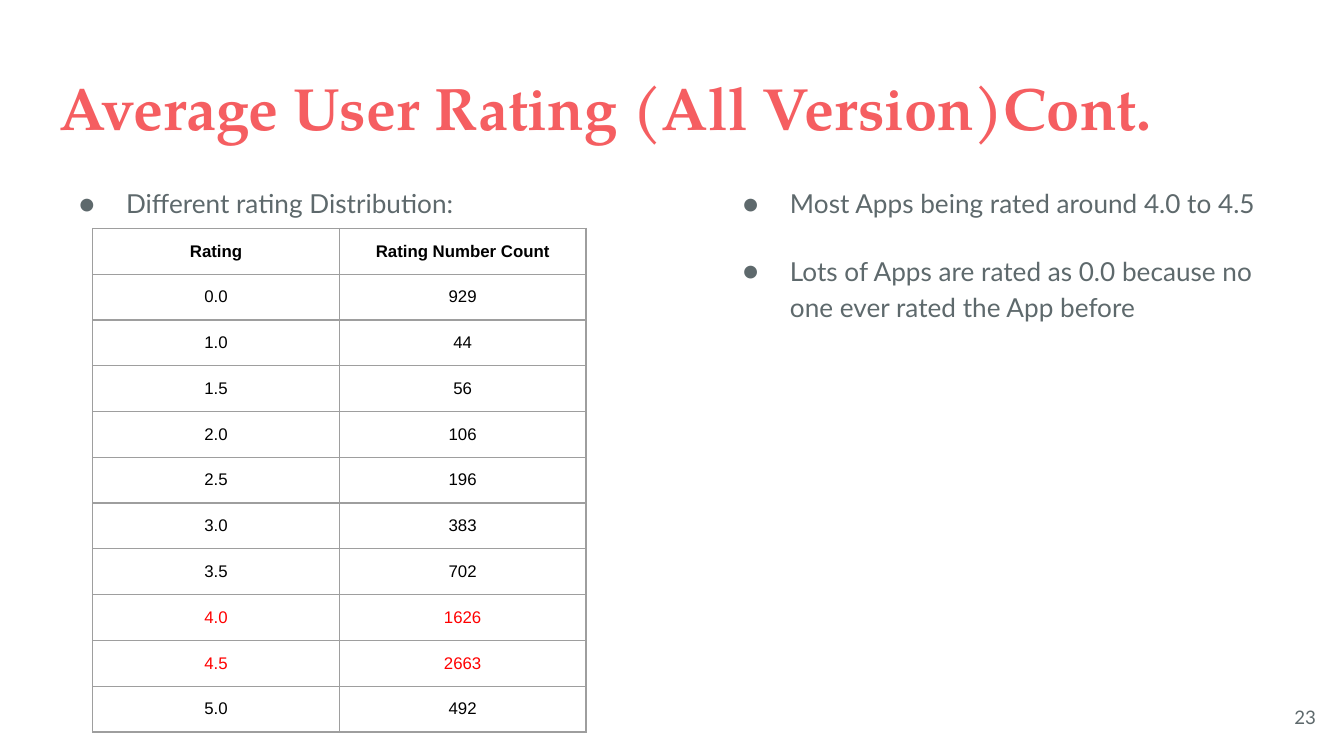
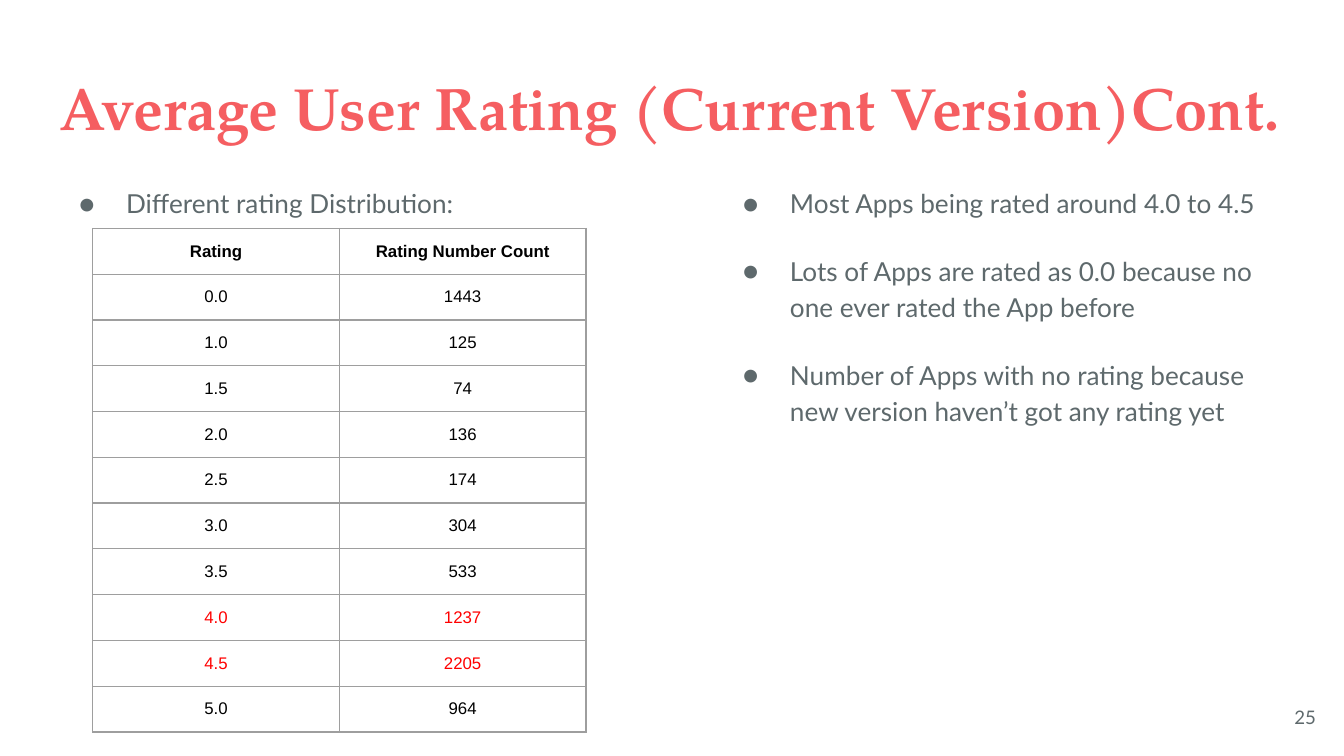
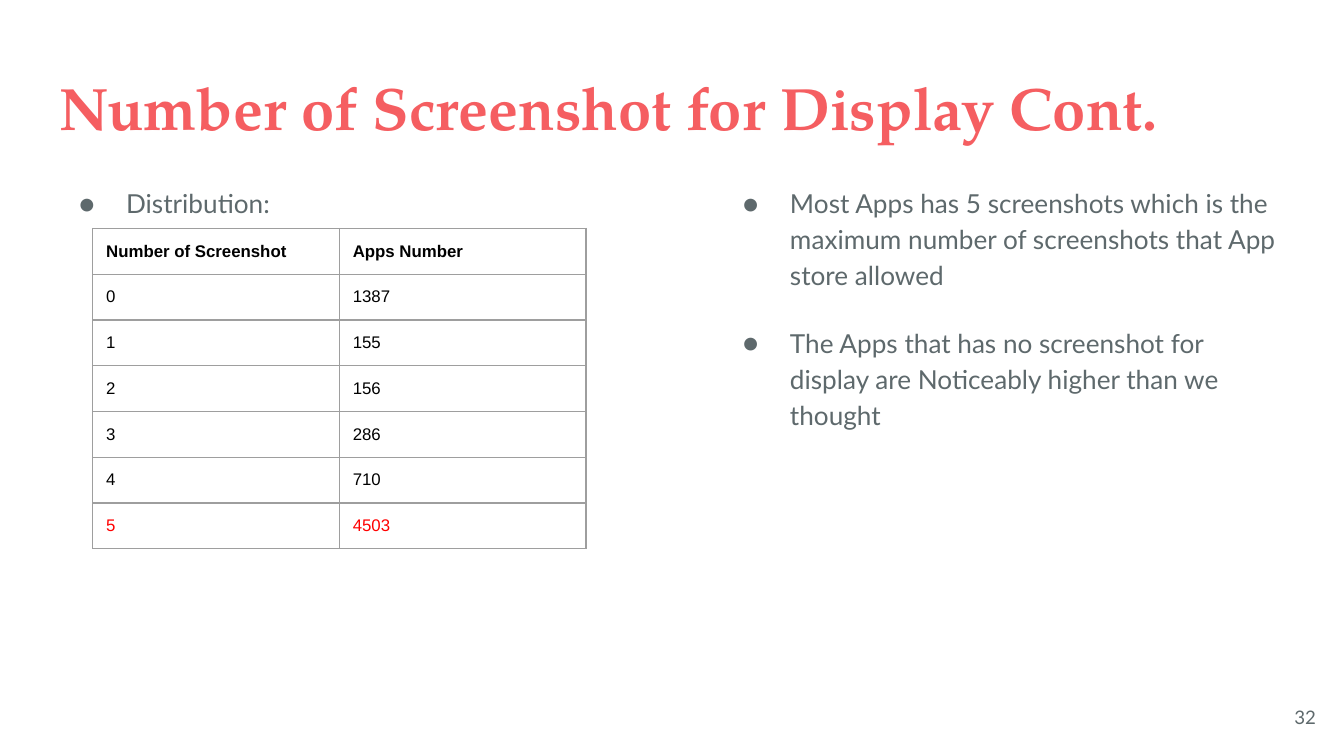
from lxml.etree import SubElement
from pptx import Presentation
from pptx.dml.color import RGBColor
from pptx.enum.text import MSO_ANCHOR, MSO_AUTO_SIZE, PP_ALIGN
from pptx.oxml.ns import qn
from pptx.util import Inches, Pt

CORAL = RGBColor(0xF5, 0x5E, 0x61)
SLATE = RGBColor(0x5E, 0x69, 0x6C)
GRID = RGBColor(0x9E, 0x9E, 0x9E)
BLACK = RGBColor(0x00, 0x00, 0x00)
RED = RGBColor(0xFF, 0x00, 0x00)

TITLE_FONT, BODY_FONT, TABLE_FONT = "TeX Gyre Pagella", "Lato", "Arial"
SLIDE_WIDTH = Inches(10)
SLIDE_HEIGHT = SLIDE_WIDTH * 9 // 16
TITLE_BOX = (0.34, 0.43, 9.32, 0.68)
LEFT_BOX = (0.34, 1.26, 4.37, 3.74)
RIGHT_BOX = (5.28, 1.26, 4.37, 3.74)
NUMBER_BOX = (9.29, 5.12, 0.6, 0.43)
TABLE_LEFT, TABLE_TOP, TABLE_WIDTH, ROW_HEIGHT = 0.69, 1.7, 3.67, 0.34
INSET = Inches(0.1)

RATINGS = ["0.0", "1.0", "1.5", "2.0", "2.5", "3.0", "3.5", "4.0", "4.5", "5.0"]
RATING_HEADER = ("Rating", "Rating Number Count")
RATING_FINDINGS = [
    "Most Apps being rated around 4.0 to 4.5",
    "Lots of Apps are rated as 0.0 because no one ever rated the App before",
]

SLIDES = [
    {
        "title": "Average User Rating (All Version)Cont.",
        "number": 23,
        "lead": "Different rating Distribution:",
        "findings": RATING_FINDINGS,
        "header": RATING_HEADER,
        "values": RATINGS,
        "counts": [929, 44, 56, 106, 196, 383, 702, 1626, 2663, 492],
        "highlights": {"4.0", "4.5"},
        "align": PP_ALIGN.CENTER,
    },
    {
        "title": "Average User Rating (Current Version)Cont.",
        "number": 25,
        "lead": "Different rating Distribution:",
        "findings": RATING_FINDINGS + [
            "Number of Apps with no rating because new version haven’t got any rating yet",
        ],
        "header": RATING_HEADER,
        "values": RATINGS,
        "counts": [1443, 125, 74, 136, 174, 304, 533, 1237, 2205, 964],
        "highlights": {"4.0", "4.5"},
        "align": PP_ALIGN.CENTER,
    },
    {
        "title": "Number of Screenshot for Display Cont.",
        "number": 32,
        "lead": "Distribution:",
        "findings": [
            "Most Apps has 5 screenshots which is the maximum number of screenshots that App store allowed",
            "The Apps that has no screenshot for display are Noticeably higher than we thought",
        ],
        "header": ("Number of Screenshot", "Apps Number"),
        "values": ["0", "1", "2", "3", "4", "5"],
        "counts": [1387, 155, 156, 286, 710, 4503],
        "highlights": {"5"},
        "align": PP_ALIGN.LEFT,
    },
]


def set_insets(target):
    """Give a text frame or table cell the shared margins."""
    target.margin_left = target.margin_right = INSET
    target.margin_top = target.margin_bottom = INSET


def style(paragraph, font_name, size, color, bold=False, align=PP_ALIGN.LEFT):
    """Format a paragraph and its runs."""
    paragraph.alignment = align
    for run in paragraph.runs:
        run.font.name = font_name
        run.font.size = Pt(size)
        run.font.bold = bold
        run.font.color.rgb = color


def prepare_frame(shape, anchor):
    """Set wrapping, margins and anchor of a shape's text."""
    frame = shape.text_frame
    frame.word_wrap = True
    frame.auto_size = MSO_AUTO_SIZE.NONE
    frame.vertical_anchor = anchor
    set_insets(frame)
    return frame


def add_text(slide, box, text, anchor=MSO_ANCHOR.TOP):
    """Add a text box and return its text frame."""
    frame = prepare_frame(slide.shapes.add_textbox(*map(Inches, box)), anchor)
    frame.text = text
    return frame


def add_title(slide, text):
    """Place and format the title placeholder."""
    title = slide.shapes.title
    title.left, title.top, title.width, title.height = map(Inches, TITLE_BOX)
    frame = prepare_frame(title, MSO_ANCHOR.TOP)
    frame.text = text
    style(frame.paragraphs[0], TITLE_FONT, 32, CORAL, bold=True)


def add_bullets(slide, box, points):
    """Add a bulleted column."""
    for paragraph in add_text(slide, box, "\n".join(points)).paragraphs:
        style(paragraph, BODY_FONT, 14, SLATE)
        paragraph.line_spacing = 1.15
        paragraph.space_after = Pt(17)
        properties = paragraph._p.get_or_add_pPr()
        properties.set("marL", str(Inches(0.5)))
        properties.set("indent", str(Inches(-0.35)))
        bullet_color = SubElement(properties, qn("a:buClr"))
        SubElement(bullet_color, qn("a:srgbClr"), val=str(SLATE))
        SubElement(properties, qn("a:buSzPts"), val="1400")
        SubElement(properties, qn("a:buFont"), typeface=BODY_FONT)
        SubElement(properties, qn("a:buChar"), char="●")


def add_borders(cell):
    """Draw the thin grid line on all four sides of a cell."""
    properties = cell._tc.get_or_add_tcPr()
    for side in ("a:lnL", "a:lnR", "a:lnT", "a:lnB"):
        line = SubElement(properties, qn(side), w=str(Pt(0.75)))
        fill = SubElement(line, qn("a:solidFill"))
        SubElement(fill, qn("a:srgbClr"), val=str(GRID))


def add_distribution(slide, content):
    """Add the table of values and their counts."""
    rows = [content["header"], *zip(content["values"], content["counts"])]
    table = slide.shapes.add_table(
        len(rows), 2, Inches(TABLE_LEFT), Inches(TABLE_TOP),
        Inches(TABLE_WIDTH), Inches(ROW_HEIGHT * len(rows)),
    ).table
    table.first_row = table.horz_banding = False
    for row_index, row in enumerate(rows):
        table.rows[row_index].height = Inches(ROW_HEIGHT)
        color = RED if row[0] in content["highlights"] else BLACK
        for column_index, value in enumerate(row):
            cell = table.cell(row_index, column_index)
            cell.text = str(value)
            set_insets(cell)
            add_borders(cell)
            cell.fill.background()
            style(cell.text_frame.paragraphs[0], TABLE_FONT, 9, color,
                  bold=row_index == 0, align=content["align"])


def main():
    """Build the slides and save them."""
    deck = Presentation()
    deck.slide_width, deck.slide_height = SLIDE_WIDTH, SLIDE_HEIGHT
    title_only = deck.slide_layouts[5]
    for content in SLIDES:
        slide = deck.slides.add_slide(title_only)
        add_title(slide, content["title"])
        number = add_text(slide, NUMBER_BOX, str(content["number"]), MSO_ANCHOR.MIDDLE)
        style(number.paragraphs[0], BODY_FONT, 10, SLATE, align=PP_ALIGN.RIGHT)
        add_bullets(slide, LEFT_BOX, [content["lead"]])
        add_bullets(slide, RIGHT_BOX, content["findings"])
        add_distribution(slide, content)
    deck.save("out.pptx")


if __name__ == "__main__":
    main()
